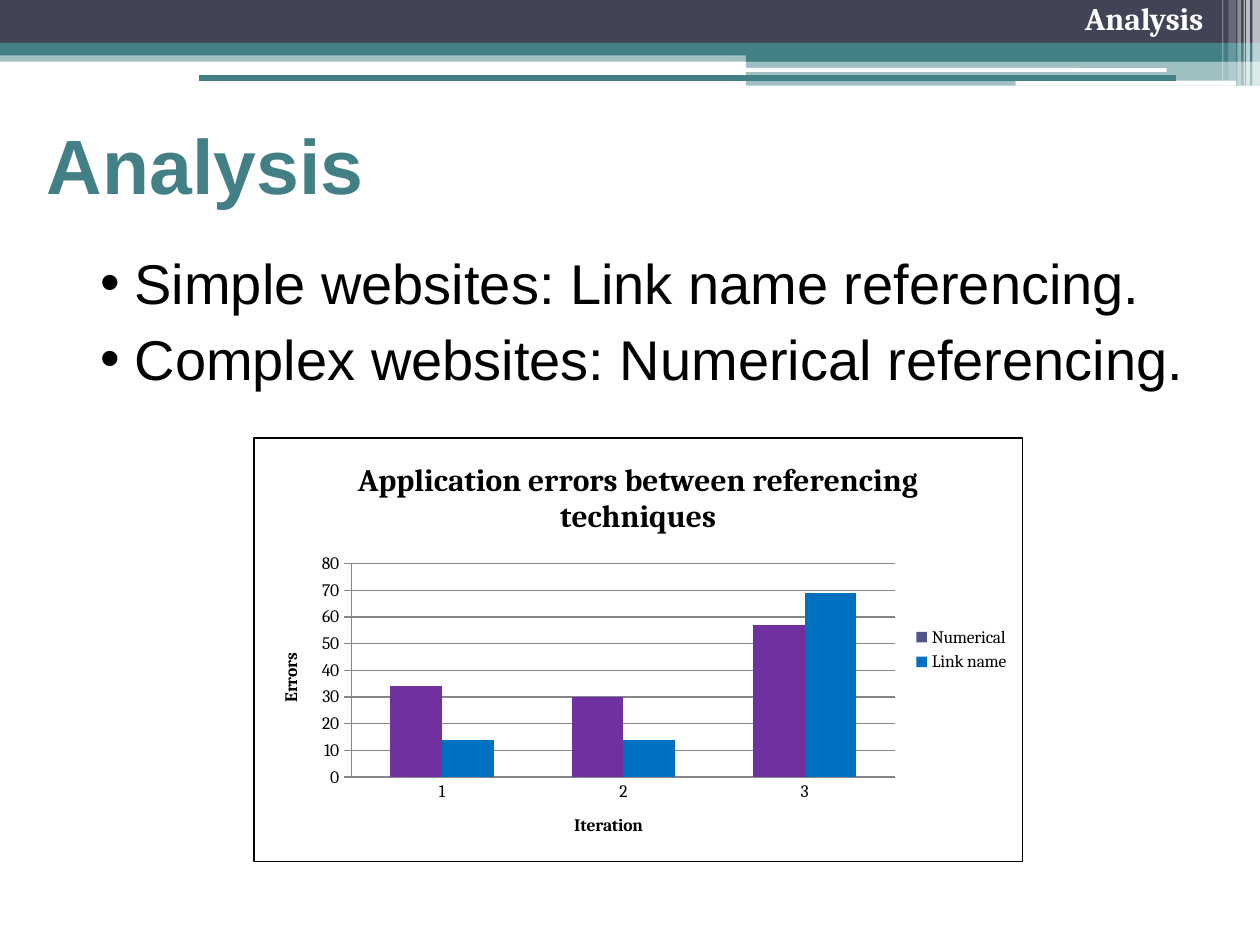
from lxml import etree
from pptx import Presentation
from pptx.chart.data import CategoryChartData
from pptx.dml.color import RGBColor
from pptx.enum.chart import XL_CHART_TYPE, XL_LEGEND_POSITION, XL_TICK_MARK
from pptx.enum.shapes import MSO_CONNECTOR, MSO_SHAPE
from pptx.enum.text import MSO_ANCHOR, PP_ALIGN
from pptx.oxml import parse_xml
from pptx.oxml.ns import nsdecls, qn
from pptx.util import Inches, Pt

RECT, ROUND = MSO_SHAPE.RECTANGLE, MSO_SHAPE.ROUNDED_RECTANGLE
CLUSTERED = XL_CHART_TYPE.COLUMN_CLUSTERED
LEGEND_RIGHT = XL_LEGEND_POSITION.RIGHT
TICK_NONE, TICK_CROSS = XL_TICK_MARK.NONE, XL_TICK_MARK.CROSS
MIDDLE = MSO_ANCHOR.MIDDLE
LEFT, RIGHT = PP_ALIGN.LEFT, PP_ALIGN.RIGHT
STRAIGHT = MSO_CONNECTOR.STRAIGHT

TEAL = RGBColor(0x43, 0x80, 0x86)
SLATE = RGBColor(0x42, 0x44, 0x56)
WHITE = RGBColor(0xFF, 0xFF, 0xFF)
BLACK = RGBColor(0, 0, 0)
GRAY = RGBColor(0x86, 0x86, 0x86)
INDIGO = RGBColor(0x53, 0x54, 0x8A)
PURPLE = RGBColor(0x70, 0x30, 0xA0)
BLUE = RGBColor(0x00, 0x70, 0xC0)


def style_font(font, color, **values):
    for name, value in values.items():
        setattr(font, name, value)
    font.color.rgb = color


deck = Presentation()
deck.slide_width, deck.slide_height = Inches(10), Inches(7.5)
page = deck.slides.add_slide(deck.slide_layouts[5])

# Header bands and stripes: kind, left, top, width, height, colour, opacity in %
bands = [
    (RECT, 0, 0.4, 10, 0.09, TEAL, 50),
    (RECT, 0, 0, 10, 0.34, SLATE, 100),
    (RECT, 0, 0.34, 10, 0.1, TEAL, 100),
    (RECT, 5.92, 0.39, 4.08, 0.1, TEAL, 100),
    (RECT, 5.92, 0.48, 4.08, 0.2, TEAL, 50),
    (ROUND, 5.91, 0.54, 3.35, 0.03, WHITE, 100),
    (ROUND, 8.06, 0.64, 1.75, 0.04, WHITE, 100),
    (RECT, 9.94, 0, 0.06, 0.68, WHITE, 65),
    (RECT, 9.89, 0, 0.03, 0.68, WHITE, 65),
    (RECT, 9.87, 0, 0.01, 0.68, WHITE, 60),
    (RECT, 9.82, 0, 0.03, 0.68, WHITE, 40),
    (RECT, 9.75, 0, 0.06, 0.64, WHITE, 20),
    (RECT, 9.7, 0, 0.01, 0.64, WHITE, 30),
]
for kind, left, top, width, height, color, opacity in bands:
    band = page.shapes.add_shape(
        kind, Inches(left), Inches(top), Inches(width), Inches(height))
    band.shadow.inherit = False
    band.line.fill.background()
    band.fill.solid()
    band.fill.fore_color.rgb = color
    if opacity < 100:
        color_node = band.fill._xPr.find(".//" + qn("a:srgbClr"))
        etree.SubElement(color_node, qn("a:alpha"), val=str(opacity * 1000))

# Section name in the header
section_box = page.shapes.add_textbox(Inches(3.82), 0, Inches(5.83), Inches(0.5))
section_box.text_frame.word_wrap = True
para = section_box.text_frame.paragraphs[0]
para.text = "Analysis"
para.alignment = RIGHT
para.line_spacing = 0.8
style_font(para.font, WHITE, name="Cambria", size=Pt(18), bold=True)

rule = page.shapes.add_connector(
    STRAIGHT, Inches(1.58), Inches(0.62), Inches(9.33), Inches(0.62))
rule.line.color.rgb = TEAL
rule.line.width = Pt(3)
etree.SubElement(rule._element.spPr, qn("a:effectLst"))

# Bullets
bullet_box = page.shapes.add_textbox(
    Inches(-0.25), Inches(1.88), Inches(10.67), Inches(2))
frame = bullet_box.text_frame
frame.word_wrap = True
frame.margin_top = Inches(0.09)
bullets = ["Simple websites: Link name referencing.",
           "Complex websites: Numerical referencing."]
for index, text in enumerate(bullets):
    para = frame.add_paragraph() if index else frame.paragraphs[0]
    para.text = text
    if index:
        para.space_before = Pt(5)
    properties = para._p.get_or_add_pPr()
    properties.set("marL", str(Inches(1.22)))
    properties.set("indent", str(Inches(-0.27)))
    etree.SubElement(properties, qn("a:buFont"), typeface="Arial")
    etree.SubElement(properties, qn("a:buChar"), char="•")
    style_font(para.font, BLACK, name="Arial", size=Pt(32))

# Title
title = page.shapes.title
title.left, title.top = Inches(0.27), Inches(0.78)
title.width, title.height = Inches(6.84), Inches(1.04)
title.text_frame.text = "Analysis"
title.text_frame.vertical_anchor = MIDDLE
para = title.text_frame.paragraphs[0]
para.alignment = LEFT
style_font(para.font, TEAL, name="Arial", size=Pt(44), bold=True)

# Chart
data = CategoryChartData()
data.categories = ["1", "2", "3"]
data.add_series("Numerical", [34, 30, 57])
data.add_series("Link name", [14, 14, 69])
chart = page.shapes.add_chart(
    CLUSTERED, Inches(2.01), Inches(3.47), Inches(6.11), Inches(3.37), data).chart
style_font(chart.font, BLACK, name="Cambria", size=Pt(10))
chart.has_title = True
chart.has_legend = True
chart.legend.position = LEGEND_RIGHT
chart.legend.include_in_layout = False

category_axis, value_axis = chart.category_axis, chart.value_axis
category_axis.major_tick_mark = TICK_NONE
value_axis.major_tick_mark = TICK_CROSS
value_axis.minimum_scale, value_axis.maximum_scale = 0, 80
value_axis.major_unit = 10
value_axis.has_major_gridlines = True
for line in (category_axis.format.line, value_axis.format.line,
             value_axis.major_gridlines.format.line):
    line.color.rgb = GRAY
    line.width = Pt(0.75)

for owner, text, size in [
        (chart.chart_title, "Application errors between referencing techniques", 18),
        (category_axis.axis_title, "Iteration", 10),
        (value_axis.axis_title, "Errors", 10)]:
    owner.text_frame.text = text
    span = owner.text_frame.paragraphs[0].runs[0]
    style_font(span.font, BLACK, name="Cambria", size=Pt(size), bold=True)

plot = chart.plots[0]
plot.vary_by_categories = False
plot.gap_width, plot.overlap = 150, 0
for series, color in zip(plot.series, (INDIGO, BLUE)):
    series.format.fill.solid()
    series.format.fill.fore_color.rgb = color
for index in range(3):
    fill = plot.series[0].points[index].format.fill
    fill.solid()
    fill.fore_color.rgb = PURPLE

border = parse_xml(
    f'<c:spPr {nsdecls("c", "a")}><a:noFill/><a:ln w="{Pt(0.75)}">'
    f'<a:solidFill><a:srgbClr val="{BLACK}"/></a:solidFill></a:ln></c:spPr>')
chart._chartSpace.find(qn("c:chart")).addnext(border)

deck.save("out.pptx")
